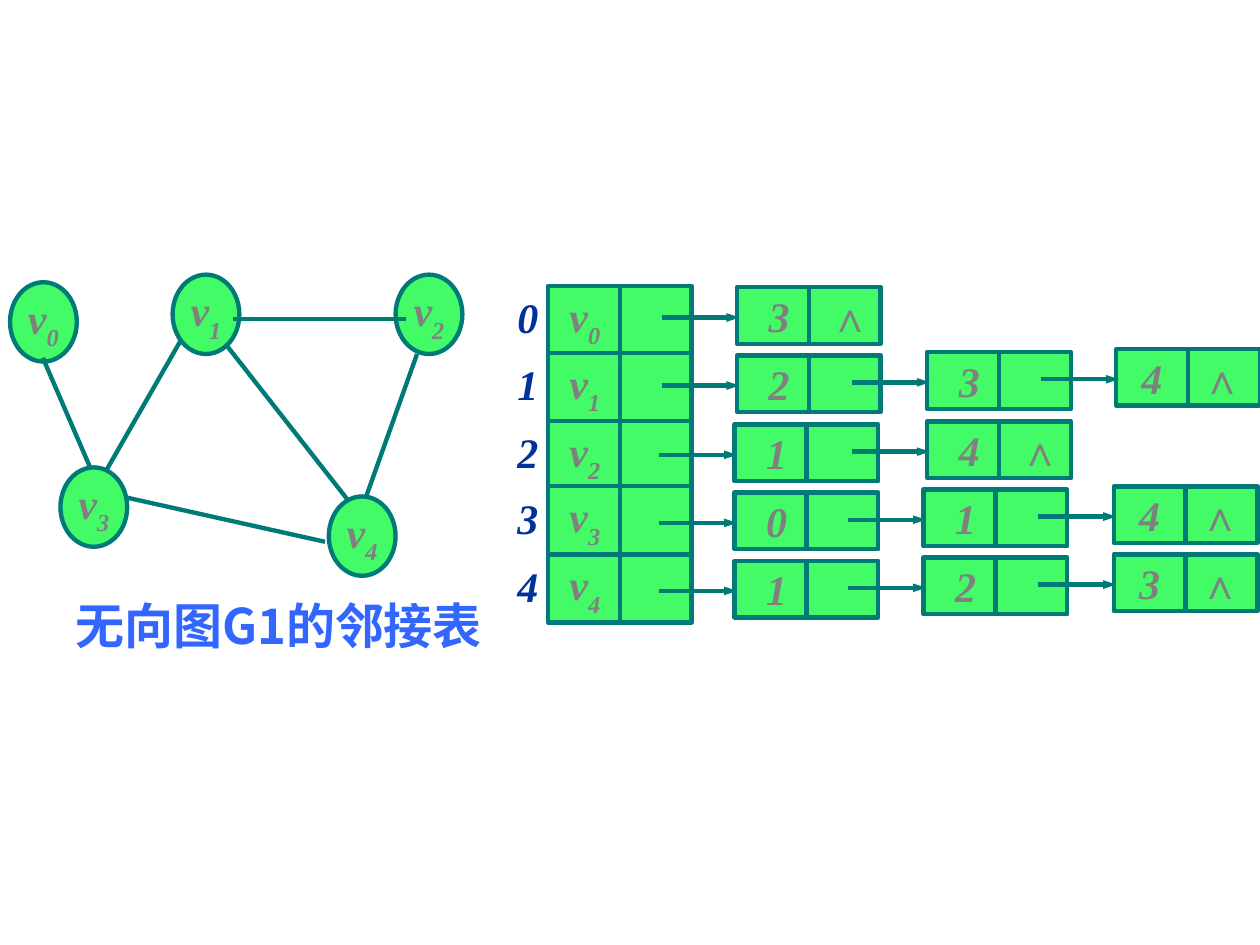
from pptx import Presentation
from pptx.dml.color import RGBColor
from pptx.enum import shapes, text
from pptx.oxml.ns import qn
from pptx.util import Inches, Pt
from lxml import etree

GREEN, TEAL, GRAY, NAVY, BLUE = "43FB66", "007A77", "808080", "003399", "3366FF"
SERIF, CJK = "Times New Roman", "Noto Sans CJK SC"
CAPTION = "无向图G1的邻接表"

# Graph: vertex positions (left, top) and edges (from x, from y, to x, to y)
VERTICES = [(0.08, 2.24), (1.37, 2.18), (3.14, 2.18), (0.48, 3.71), (2.61, 3.94)]
EDGES = [
    (0.34, 2.84, 0.72, 3.72),
    (1.43, 2.71, 0.84, 3.74),
    (1.79, 2.73, 2.77, 3.98),
    (1.01, 3.95, 2.58, 4.3),
    (1.85, 2.53, 3.22, 2.53),
    (3.31, 2.81, 2.91, 3.93),
]

# Adjacency lists: header top, first node top, then (neighbour, node left)
ROWS = [
    (2.27, 2.28, [(3, 5.85)]),
    (2.80, 2.82, [(2, 5.85), (3, 7.36), (4, 8.86)]),
    (3.34, 3.37, [(1, 5.83), (4, 7.36)]),
    (3.86, 3.91, [(0, 5.83), (1, 7.33), (4, 8.84)]),
    (4.40, 4.45, [(1, 5.83), (2, 7.33), (3, 8.84)]),
]
HEADER_LEFT, CELL_WIDTH, HEADER_HEIGHT, NODE_HEIGHT = 4.35, 1.14, 0.54, 0.45
NODE_RISE = 0.025  # each further node of a list sits this much higher

presentation = Presentation()
presentation.slide_width, presentation.slide_height = Inches(10), Inches(7.5)
slide = presentation.slides.add_slide(presentation.slide_layouts[6])


def color(value):
    return RGBColor.from_string(value)


def style_run(run, font_color, size=24, name=SERIF, italic=True):
    font = run.font
    font.size, font.name, font.bold, font.italic = Pt(size), name, True, italic
    font.color.rgb = color(font_color)
    etree.SubElement(run._r.get_or_add_rPr(), qn("a:ea"), typeface=name)


def set_margins(frame, left=0):
    frame.margin_left = Inches(left)
    frame.margin_top = frame.margin_right = frame.margin_bottom = 0
    frame.vertical_anchor = text.MSO_ANCHOR.MIDDLE


def add_line(x1, y1, x2, y2, arrow=False):
    line = slide.shapes.add_connector(
        shapes.MSO_CONNECTOR.STRAIGHT, Inches(x1), Inches(y1), Inches(x2), Inches(y2))
    line.line.color.rgb, line.line.width = color(TEAL), Pt(2.5)
    if arrow:
        etree.SubElement(line.line._get_or_add_ln(), qn("a:tailEnd"),
                         type="triangle", w="sm", len="med")
    etree.SubElement(line._element.spPr, qn("a:effectLst"))


def add_box(kind, left, top, width, height, content, subscript="", indent=0, tab=0):
    """Green shape; centred text unless an indent is given."""
    shape = slide.shapes.add_shape(
        kind, Inches(left), Inches(top), Inches(width), Inches(height))
    shape.shadow.inherit = False
    shape.fill.solid()
    shape.fill.fore_color.rgb = color(GREEN)
    shape.line.color.rgb, shape.line.width = color(TEAL), Pt(2.5)
    set_margins(shape.text_frame, indent)
    paragraph = shape.text_frame.paragraphs[0]
    paragraph.alignment = text.PP_ALIGN.LEFT if indent else text.PP_ALIGN.CENTER
    if tab:
        tabs = etree.SubElement(paragraph._p.get_or_add_pPr(), qn("a:tabLst"))
        etree.SubElement(tabs, qn("a:tab"), pos=str(Inches(tab)), algn="l")
    for part in filter(None, (content, subscript)):
        run = paragraph.add_run()
        run.text = part
        style_run(run, GRAY)
    if subscript:
        run._r.get_or_add_rPr().set("baseline", "-30000")


def add_cell(left, top, height, content, **options):
    add_box(shapes.MSO_SHAPE.RECTANGLE, left, top, CELL_WIDTH, height, content, **options)
    middle = left + CELL_WIDTH / 2
    add_line(middle, top, middle, top + height)


def add_text(left, top, width, height, content):
    box = slide.shapes.add_textbox(Inches(left), Inches(top), Inches(width), Inches(height))
    box.text_frame.word_wrap = True
    box.text_frame.text = content
    return box.text_frame


for index, (header_top, _, _) in enumerate(ROWS):
    add_cell(HEADER_LEFT, header_top, HEADER_HEIGHT, "v", subscript=str(index), indent=0.17)
    frame = add_text(4.05, header_top, 0.28, 0.49, str(index))
    set_margins(frame)
    frame.paragraphs[0].alignment = text.PP_ALIGN.CENTER
    style_run(frame.paragraphs[0].runs[0], NAVY)

for _, first_top, nodes in ROWS:
    for column, (neighbour, left) in enumerate(nodes):
        top = first_top - NODE_RISE * column
        is_last = column == len(nodes) - 1
        add_cell(left, top, NODE_HEIGHT, f"{neighbour}\t∧" if is_last else str(neighbour),
                 indent=0.2 if column == 2 else 0.25, tab=0.48 if is_last else 0)
        add_line(left - 0.6, top + 0.24, left + 0.02, top + 0.24, arrow=True)

for index, (left, top) in enumerate(VERTICES):
    add_box(shapes.MSO_SHAPE.OVAL, left, top, 0.53, 0.63, "v", subscript=str(index))
for edge in EDGES:
    add_line(*edge)

caption = add_text(0.5, 4.68, 3.49, 0.57, CAPTION)
style_run(caption.paragraphs[0].runs[0], BLUE, 28, CJK, italic=False)

presentation.save("out.pptx")
